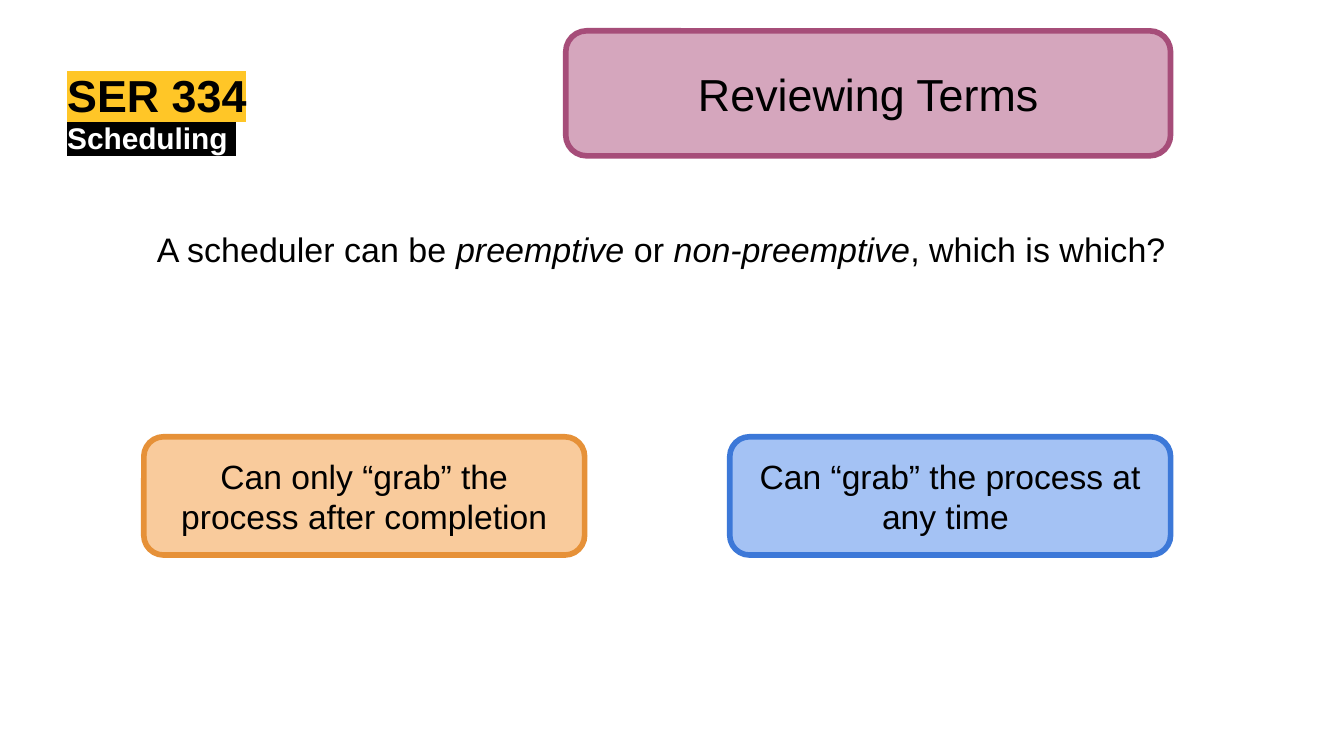
"""Build a review slide on preemptive and non-preemptive scheduling."""
import pptx
import pptx.dml.color
import pptx.enum.shapes
import pptx.enum.text
import pptx.oxml
import pptx.oxml.ns
import pptx.util

Inches = pptx.util.Inches
RGB = pptx.dml.color.RGBColor
Align = pptx.enum.text.PP_ALIGN
Anchor = pptx.enum.text.MSO_ANCHOR

BLACK = RGB(0x00, 0x00, 0x00)
WHITE = RGB(0xFF, 0xFF, 0xFF)
GOLD = RGB(0xFF, 0xC6, 0x27)
PINK = RGB(0xD5, 0xA6, 0xBD)
PLUM = RGB(0xA6, 0x4D, 0x79)
SKY = RGB(0xA4, 0xC2, 0xF4)
BLUE = RGB(0x3C, 0x78, 0xD8)
PEACH = RGB(0xF9, 0xCB, 0x9C)
ORANGE = RGB(0xE6, 0x91, 0x38)


class Deck:
    def __init__(self, wide, high):
        self.face = "Arial"
        self.show = pptx.Presentation()
        self.show.slide_width = Inches(wide)
        self.show.slide_height = Inches(high)
        self.slide = self.show.slides.add_slide(self.show.slide_layouts[5])

    def frame(self, shape, pad, anchor, align):
        frame = shape.text_frame
        frame.word_wrap = True
        frame.auto_size = pptx.enum.text.MSO_AUTO_SIZE.NONE
        frame.vertical_anchor = anchor
        frame.margin_left = frame.margin_right = Inches(pad)
        frame.margin_top = frame.margin_bottom = Inches(pad)
        para = frame.paragraphs[0]
        para.alignment = align
        return para

    def run(self, para, text, size, color=BLACK, bold=False, slant=False, mark=None):
        run = para.add_run()
        run.text = text
        font = run.font
        font.name = self.face
        font.size = pptx.util.Pt(size)
        font.bold = bold
        font.italic = slant
        font.color.rgb = color
        if mark is not None:
            ns = pptx.oxml.ns.nsdecls("a")
            light = pptx.oxml.parse_xml(
                f'<a:highlight {ns}><a:srgbClr val="{mark}"/></a:highlight>')
            fill = run._r.rPr.find(pptx.oxml.ns.qn("a:solidFill"))
            fill.addnext(light)

    def title(self, box, text, size, mark):
        shape = self.slide.shapes.title
        shape.left, shape.top, shape.width, shape.height = map(Inches, box)
        para = self.frame(shape, 0, Anchor.TOP, Align.LEFT)
        self.run(para, text, size, bold=True, mark=mark)

    def text(self, box, pad=0.1):
        shape = self.slide.shapes.add_textbox(*map(Inches, box))
        return self.frame(shape, pad, Anchor.TOP, Align.LEFT)

    def card(self, box, text, size, fill, edge):
        kind = pptx.enum.shapes.MSO_SHAPE.ROUNDED_RECTANGLE
        shape = self.slide.shapes.add_shape(kind, *map(Inches, box))
        shape.shadow.inherit = False
        shape.fill.solid()
        shape.fill.fore_color.rgb = fill
        shape.line.color.rgb = edge
        shape.line.width = pptx.util.Pt(3)
        para = self.frame(shape, 0.1, Anchor.MIDDLE, Align.CENTER)
        self.run(para, text, size)


def main():
    deck = Deck(10, 10 * 9 / 16)
    deck.title((0.5, 0.5, 4.85, 0.39), "SER 334", 24, GOLD)
    topic = deck.text((0.5, 0.89, 6.51, 0.29), pad=0)
    deck.run(topic, "Scheduling ", 16, WHITE, bold=True, mark=BLACK)
    deck.card((4.21, 0.23, 4.5, 0.93), "Reviewing Terms", 24, PINK, PLUM)

    query = deck.text((1.07, 1.6, 7.87, 0.56))
    for text, slant in (
        ("A scheduler can be ", False),
        ("preemptive", True),
        (" or ", False),
        ("non-preemptive", True),
        (", which is which?", False),
    ):
        deck.run(query, text, 18.2, slant=slant)

    for left, text, fill, edge in (
        (5.43, "Can “grab” the process at any time ", SKY, BLUE),
        (1.07, "Can only “grab” the process after completion", PEACH, ORANGE),
    ):
        deck.card((left, 3.25, 3.28, 0.88), text, 18, fill, edge)
    deck.show.save("out.pptx")


if __name__ == "__main__":
    main()
